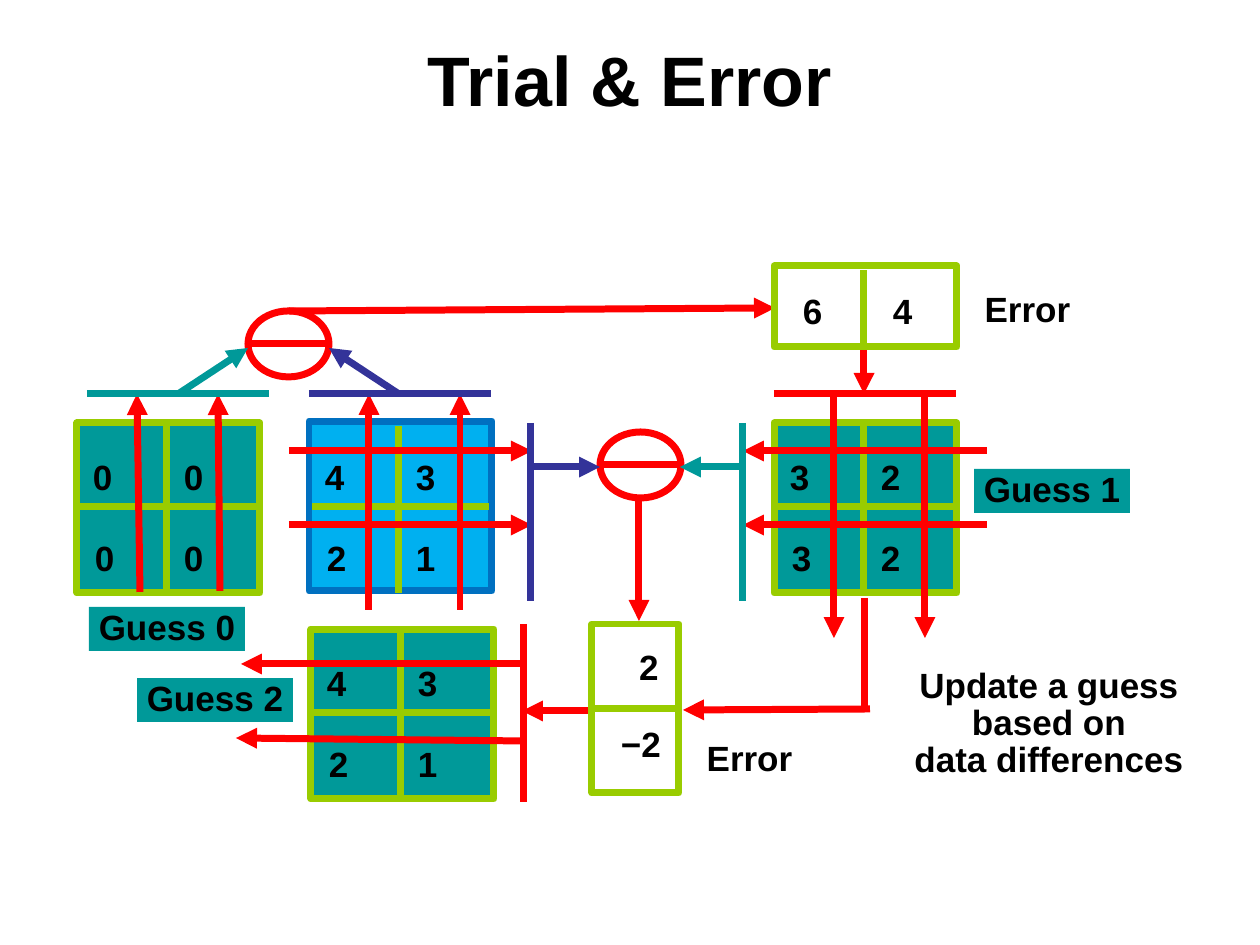
"""Build the Trial & Error slide on iterative reconstruction from projections."""
from lxml import etree
from pptx import Presentation
from pptx import util as u
from pptx.dml.color import RGBColor
from pptx.enum import shapes, text
from pptx.oxml import ns

BLACK = RGBColor(0, 0, 0)
WHITE = RGBColor(255, 255, 255)
RED = RGBColor(255, 0, 0)
TEAL = RGBColor(0, 0x99, 0x99)
LIME = RGBColor(0x99, 0xCC, 0)
INDIGO = RGBColor(0x33, 0x33, 0x99)
SKY = RGBColor(0, 0xB0, 0xF0)
BLUE = RGBColor(0, 0x70, 0xC0)
CELL_W, CELL_H = 64, 48


def px(n):
    """Turn pixels at 126 to the inch into EMU."""
    return u.Emu(round(n * 914400 / 126))


def add_shape(s, kind, x, y, w, h, fill, line=None):
    """Add a preset shape without a shadow."""
    sp = s.shapes.add_shape(kind, px(x), px(y), px(w), px(h))
    sp.shadow.inherit = False
    sp.fill.solid()
    sp.fill.fore_color.rgb = fill
    if line is None:
        sp.line.fill.background()
    else:
        sp.line.color.rgb = line
        sp.line.width = u.Pt(4)
    return sp


def add_line(s, x1, y1, x2, y2, color, arrow=False):
    """Add a straight line, with an arrowhead at its end if wanted."""
    c = s.shapes.add_connector(shapes.MSO_CONNECTOR.STRAIGHT, px(x1), px(y1), px(x2), px(y2))
    c.line.color.rgb = color
    c.line.width = u.Pt(4)
    if arrow:
        etree.SubElement(c.line._get_or_add_ln(), ns.qn("a:tailEnd"), type="triangle")
    etree.SubElement(c._element.spPr, ns.qn("a:effectLst"))


def set_text(tf, words, size=20, align=text.PP_ALIGN.LEFT, spacing=0.9,
             anchor=text.MSO_ANCHOR.TOP, inset=(10, 5), wrap=True):
    """Fill a text frame with one bold black Arial paragraph."""
    tf.word_wrap = wrap
    tf.auto_size = text.MSO_AUTO_SIZE.NONE
    tf.vertical_anchor = anchor
    tf.margin_left = tf.margin_right = px(inset[0])
    tf.margin_top = tf.margin_bottom = px(inset[1])
    p = tf.paragraphs[0]
    p.text = words
    p.alignment = align
    p.line_spacing = spacing
    for r in p.runs:
        r.font.size = u.Pt(size)
        r.font.name = "Arial"
        r.font.bold = True
        r.font.color.rgb = BLACK


def add_text(s, words, x, y, w, h, fill=None, **fmt):
    """Add text in a filled rectangle or a plain text box."""
    if fill is None:
        sp = s.shapes.add_textbox(px(x), px(y), px(w), px(h))
    else:
        sp = add_shape(s, shapes.MSO_SHAPE.RECTANGLE, x, y, w, h, fill)
    set_text(sp.text_frame, words, **fmt)


def add_label(s, words, x, y, w, h=44, fill=None):
    """Add a centred caption."""
    add_text(s, words, x, y, w, h, fill, align=text.PP_ALIGN.CENTER,
             spacing=0.88, inset=(9, 4), wrap=False)


def add_title(s, words):
    """Fill the title placeholder with shadowed text."""
    sp = s.shapes.title
    sp.left, sp.top, sp.width, sp.height = px(21), px(21), px(1218), px(116)
    set_text(sp.text_frame, words, size=40, align=text.PP_ALIGN.CENTER,
             spacing=1.0, anchor=text.MSO_ANCHOR.MIDDLE)
    r_pr = sp.text_frame.paragraphs[0].runs[0]._r.get_or_add_rPr()
    effects = etree.Element(ns.qn("a:effectLst"))
    shadow = etree.SubElement(effects, ns.qn("a:outerShdw"),
                              blurRad="38100", dist="38100", dir="2700000")
    etree.SubElement(shadow, ns.qn("a:srgbClr"), val="C0C0C0")
    r_pr.find(ns.qn("a:solidFill")).addnext(effects)


def add_grid(s, x, y, values, fill=TEAL, line=LIME, lift=0, cell_fill=TEAL):
    """Add a two by two grid of numbers."""
    add_shape(s, shapes.MSO_SHAPE.RECTANGLE, x, y - lift, 183, 170, fill, line)
    add_line(s, x + 90, y + 170, x + 90, y + 3, LIME)
    add_line(s, x + 3, y + 84, x + 180, y + 84, LIME)
    offsets = ((6, 32), (97, 32), (8, 113), (97, 113))
    for value, (dx, dy) in zip(values, offsets):
        add_text(s, value, x + dx, y + dy, CELL_W, CELL_H, cell_fill)


def add_difference(s, x, y):
    """Add a subtraction sign: a circle with a bar."""
    add_shape(s, shapes.MSO_SHAPE.OVAL, x, y, 81, 66, WHITE, RED)
    add_line(s, x, y + 33, x + 81, y + 33, RED)


def add_rays(s):
    """Add the projection rays through the grids."""
    rays = [(140, 592, 137, 394), (220, 591, 218, 394),
            (522, 664, 241, 664), (524, 741, 236, 738)]
    rays += [(x, 610, x, 394) for x in (369, 460)]
    rays += [(x, 394, x, 638) for x in (834, 925)]
    for y in (451, 525):
        rays += [(289, y, 532, y), (987, y, 743, y)]
    for ray in rays:
        add_line(s, *ray, RED, arrow=True)


def add_detectors(s):
    """Add the bars on which the projections land."""
    for x, color in ((87, TEAL), (309, INDIGO), (774, RED)):
        add_line(s, x, 394, x + 182, 394, color)
    for x, y, color in ((531, 423, INDIGO), (743, 423, TEAL), (524, 624, RED)):
        add_line(s, x, y, x, y + 178, color)


def add_flow(s):
    """Add the arrows between projections, differences and errors."""
    arrows = ((178, 394, 248, 348, TEAL), (399, 394, 329, 348, INDIGO),
              (529, 467, 600, 467, INDIGO), (741, 467, 680, 467, TEAL),
              (289, 311, 775, 308, RED), (639, 495, 639, 621, RED),
              (864, 311, 864, 394, RED), (638, 711, 522, 711, RED),
              (870, 709, 683, 710, RED))
    for arrow in arrows:
        add_line(s, *arrow, arrow=True)
    add_line(s, 865, 598, 865, 709, RED)


def add_errors(s):
    """Add the row and the column of error values."""
    rect = shapes.MSO_SHAPE.RECTANGLE
    add_shape(s, rect, 774, 266, 183, 81, WHITE, LIME)
    add_line(s, 864, 345, 864, 270, LIME)
    add_shape(s, rect, 592, 624, 87, 169, WHITE, LIME)
    add_line(s, 595, 709, 677, 709, LIME)
    for value, x, y, w in (("6", 793, 289, CELL_W), ("4", 883, 289, CELL_W),
                           ("−2", 611, 722, CELL_W), ("2", 629, 645, 30)):
        add_text(s, value, x, y, w, CELL_H, WHITE)


def main():
    """Build and save the slide."""
    prs = Presentation()
    prs.slide_width, prs.slide_height = px(1260), px(945)
    s = prs.slides.add_slide(prs.slide_layouts[5])
    add_title(s, "Trial & Error")
    add_grid(s, 774, 423, "3232")
    add_grid(s, 309, 423, "4321", SKY, BLUE, lift=2, cell_fill=None)
    add_grid(s, 77, 423, "0000")
    add_grid(s, 311, 629, "4321")
    add_rays(s)
    add_detectors(s)
    add_difference(s, 248, 311)
    add_difference(s, 600, 432)
    add_flow(s)
    add_errors(s)
    add_label(s, "Update a guess\nbased on\ndata differences", 904, 665, 290, 120)
    for number, x, y in ((1, 974, 469), (0, 89, 607), (2, 137, 678)):
        add_label(s, f"Guess {number}", x, y, 156, fill=TEAL)
    for x, y in ((975, 289), (697, 738)):
        add_label(s, "Error", x, y, 105, fill=WHITE)
    prs.save("out.pptx")


if __name__ == "__main__":
    main()
